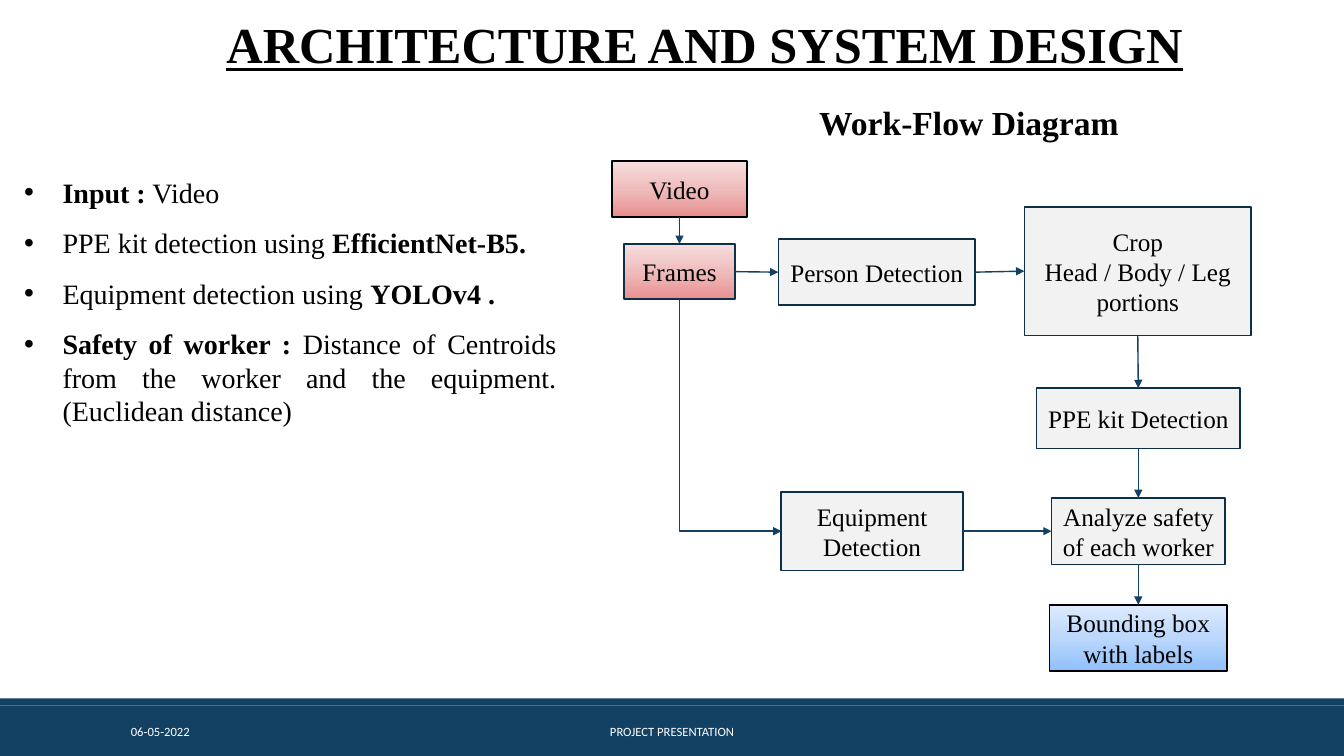
from copy import deepcopy
from dataclasses import dataclass

from lxml import etree
from pptx import Presentation
from pptx.dml.color import RGBColor
from pptx.enum import shapes, text
from pptx.oxml.ns import qn
from pptx.util import Inches, Pt


@dataclass(frozen=True)
class Theme:
    serif: str = "Times New Roman"
    sans: str = "Calibri"
    black: str = "000000"
    white: str = "FFFFFF"
    navy: str = "124163"
    outline: str = "0D3049"
    gray: tuple = ("F2F2F2",)
    pink: tuple = ("E98F8F", "EFBCBC", "F7DEDE")
    blue: tuple = ("8FC0FC", "BBD7FC", "DEEBFD")
    title_size: int = 36
    heading_size: int = 24
    body_size: int = 20
    box_size: int = 18
    footer_size: int = 9


THEME = Theme()
TOP, LEFT, BOTTOM, RIGHT = range(4)

# name: (label, place, fill colours, line colour)
BOXES = {
    "video": ("Video", (6.07, 1.6, 1.34, 0.55), THEME.pink, THEME.black),
    "frames": ("Frames", (6.19, 2.42, 1.1, 0.55), THEME.pink, THEME.outline),
    "person": ("Person Detection", (7.72, 2.37, 1.95, 0.66), THEME.gray, THEME.outline),
    "crop": ("Crop\nHead / Body / Leg\nportions", (10.16, 2.05, 2.25, 1.28),
             THEME.gray, THEME.outline),
    "ppe": ("PPE kit Detection", (10.28, 3.85, 2.02, 0.6), THEME.gray, THEME.outline),
    "equipment": ("Equipment Detection", (7.75, 4.88, 1.8, 0.78), THEME.gray, THEME.outline),
    "safety": ("Analyze safety of each worker", (10.43, 4.94, 1.72, 0.66),
               THEME.gray, THEME.outline),
    "result": ("Bounding box with labels", (10.41, 6, 1.76, 0.66), THEME.blue, THEME.black),
}

ARROWS = [
    ("video", BOTTOM, "frames", TOP),
    ("frames", RIGHT, "person", LEFT),
    ("person", RIGHT, "crop", LEFT),
    ("crop", BOTTOM, "ppe", TOP),
    ("ppe", BOTTOM, "safety", TOP),
    ("frames", BOTTOM, "equipment", LEFT),
    ("equipment", RIGHT, "safety", LEFT),
    ("safety", BOTTOM, "result", TOP),
]

# each bullet is a list of (text, bold)
BULLETS = [
    [("Input :", True), (" Video", False)],
    [("PPE kit detection using ", False), ("EfficientNet-B5.", True)],
    [("Equipment detection using ", False), ("YOLOv4 .", True)],
    [("Safety of worker : ", True),
     ("Distance of Centroids from the worker and the equipment. (Euclidean distance)", False)],
]


def rgb(color):
    return RGBColor.from_string(color)


def place(shape, left, top, width, height):
    shape.left, shape.top = Inches(left), Inches(top)
    shape.width, shape.height = Inches(width), Inches(height)


def format_font(font, size, color=THEME.black, name=THEME.serif, bold=False, underline=False):
    font.size, font.name, font.bold, font.underline = Pt(size), name, bold, underline
    font.color.rgb = rgb(color)


def write(shape, wording, anchor, alignment, **font_style):
    frame = shape.text_frame
    frame.text = wording
    frame.word_wrap = True
    frame.auto_size = text.MSO_AUTO_SIZE.NONE
    frame.vertical_anchor = anchor
    for paragraph in frame.paragraphs:
        paragraph.alignment = alignment
        format_font(paragraph.font, **font_style)


def add_text(slide, wording, position, anchor, alignment, **font_style):
    box = slide.shapes.add_textbox(*map(Inches, position))
    write(box, wording, anchor, alignment, **font_style)


def fill_shape(shape, colors):
    """Fill plainly with one colour, or upwards through three."""
    fill = shape.fill
    if len(colors) == 1:
        fill.solid()
        fill.fore_color.rgb = rgb(colors[0])
        return
    fill.gradient()
    fill.gradient_angle = 90
    stops = shape._element.spPr.find(qn("a:gradFill")).find(qn("a:gsLst"))
    stops.insert(1, deepcopy(stops[0]))
    for index, (stop, color) in enumerate(zip(fill.gradient_stops, colors)):
        stop.position = index / 2
        stop.color.rgb = rgb(color)


def add_rectangle(slide, position, colors, line=None):
    shape = slide.shapes.add_shape(shapes.MSO_SHAPE.RECTANGLE, *map(Inches, position))
    shape.shadow.inherit = False
    fill_shape(shape, colors)
    if line:
        shape.line.color.rgb = rgb(line)
        shape.line.width = Pt(1.25)
    else:
        shape.line.fill.background()
    return shape


def add_box(slide, label, position, colors, line):
    box = add_rectangle(slide, position, colors, line)
    write(box, label, text.MSO_ANCHOR.MIDDLE, text.PP_ALIGN.CENTER, size=THEME.box_size)
    return box


def bend_down_then_right(connector):
    """Turn the connector into a single-corner elbow within the same bounds."""
    center_x = connector.left + connector.width // 2
    center_y = connector.top + connector.height // 2
    width, height = connector.height, connector.width
    connector.left, connector.top = center_x - width // 2, center_y - height // 2
    connector.width, connector.height = width, height
    properties = connector._element.spPr
    transform = properties.find(qn("a:xfrm"))
    transform.set("rot", "16200000")
    transform.set("flipH", "1")
    properties.find(qn("a:prstGeom")).set("prst", "bentConnector2")


def add_arrow(slide, start, start_side, end, end_side):
    bent = (start_side, end_side) == (BOTTOM, LEFT)
    kind = shapes.MSO_CONNECTOR.ELBOW if bent else shapes.MSO_CONNECTOR.STRAIGHT
    connector = slide.shapes.add_connector(kind, 0, 0, 0, 0)
    connector.begin_connect(start, start_side)
    connector.end_connect(end, end_side)
    if bent:
        bend_down_then_right(connector)
    connector.line.color.rgb = rgb(THEME.navy)
    connector.line.width = Pt(1)
    line = connector.line._get_or_add_ln()
    etree.SubElement(line, qn("a:tailEnd"), type="triangle")
    etree.SubElement(connector._element.spPr, qn("a:effectLst"))


def write_bullets(placeholder, bullets):
    frame = placeholder.text_frame
    frame.auto_size = text.MSO_AUTO_SIZE.NONE
    for index, runs in enumerate(bullets):
        paragraph = frame.add_paragraph() if index else frame.paragraphs[0]
        properties = paragraph._p.get_or_add_pPr()
        properties.set("marL", str(Inches(0.38)))
        properties.set("indent", str(-Inches(0.38)))
        etree.SubElement(properties, qn("a:buChar"), char="•")
        paragraph.alignment = text.PP_ALIGN.JUSTIFY
        paragraph.space_before = Pt(12 if index else 0)
        format_font(paragraph.font, THEME.body_size)
        for wording, bold in runs:
            run = paragraph.add_run()
            run.text = wording
            run.font.bold = bold


def add_footer(slide):
    for position in ((0, 7, 13.33, 0.5), (0, 6.93, 13.33, 0.07)):
        add_rectangle(slide, position, (THEME.navy,))
    style = dict(size=THEME.footer_size, color=THEME.white, name=THEME.sans)
    middle = text.MSO_ANCHOR.MIDDLE
    add_text(slide, "06-05-2022", (1.2, 7.06, 2.7, 0.4), middle, text.PP_ALIGN.LEFT, **style)
    add_text(slide, "PROJECT PRESENTATION", (4.03, 7.06, 5.27, 0.4), middle,
             text.PP_ALIGN.CENTER, **style)


def main():
    presentation = Presentation()
    presentation.slide_width, presentation.slide_height = Inches(13.33), Inches(7.5)
    slide = presentation.slides.add_slide(presentation.slide_layouts[1])
    add_footer(slide)

    title, body = slide.shapes.title, slide.placeholders[1]
    place(title, 1.46, 0.08, 11.06, 0.71)
    write(title, "ARCHITECTURE AND SYSTEM DESIGN", text.MSO_ANCHOR.TOP, text.PP_ALIGN.CENTER,
          size=THEME.title_size, bold=True, underline=True)
    place(body, 0.14, 1.69, 5.48, 2.63)
    write_bullets(body, BULLETS)

    add_text(slide, "Work-Flow Diagram", (7.72, 0.96, 3.78, 0.5), text.MSO_ANCHOR.TOP,
             text.PP_ALIGN.CENTER, size=THEME.heading_size, bold=True)
    boxes = {name: add_box(slide, *details) for name, details in BOXES.items()}
    for start, start_side, end, end_side in ARROWS:
        add_arrow(slide, boxes[start], start_side, boxes[end], end_side)
    presentation.save("out.pptx")


if __name__ == "__main__":
    main()
